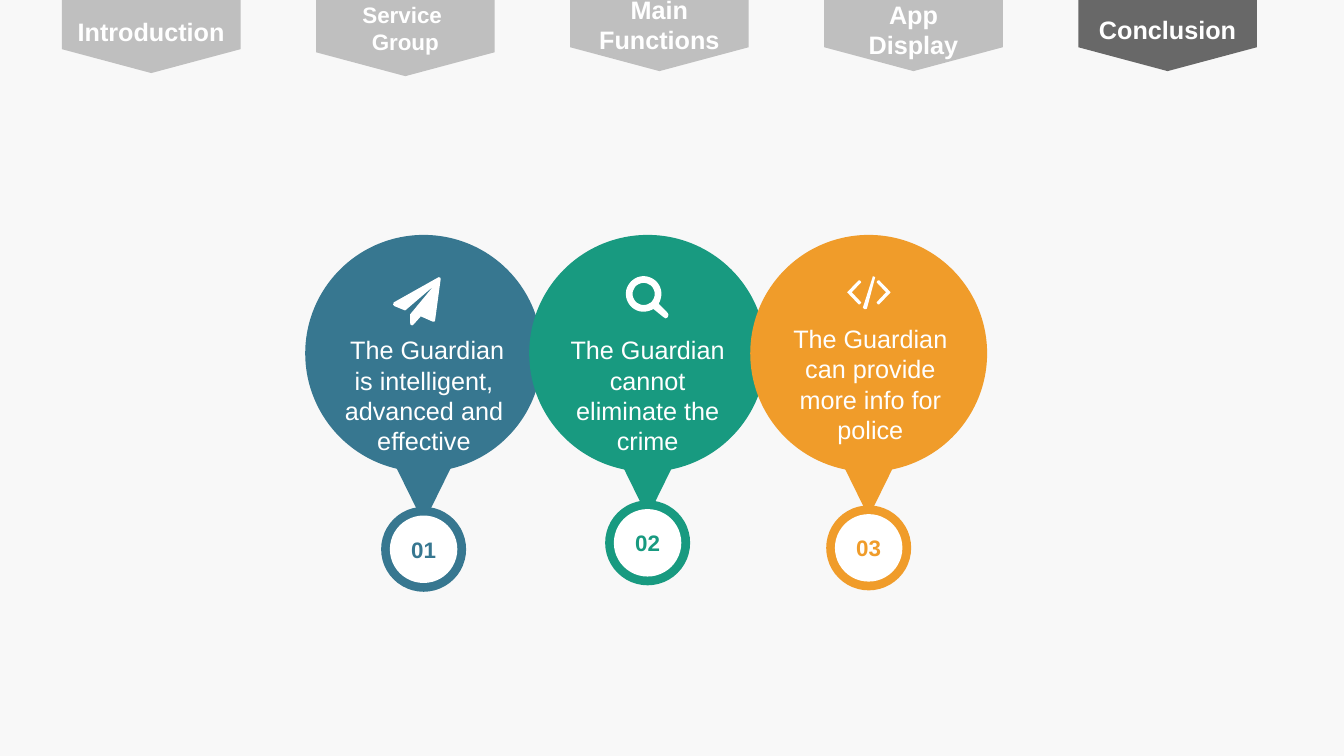
import math
from dataclasses import dataclass

import pptx
import pptx.dml.color
import pptx.enum.shapes
import pptx.enum.text
import pptx.util

Pt = pptx.util.Pt
Shape = pptx.enum.shapes.MSO_SHAPE


@dataclass(frozen=True)
class Theme:
    font: str = "Arial"
    background: str = "F8F8F8"
    white: str = "FFFFFF"
    tab: str = "BFBFBF"
    current_tab: str = "686868"
    blue: str = "377790"
    green: str = "189A80"
    orange: str = "F09C2A"
    body: int = 18
    small: int = 16


theme = Theme()


def paint(shape, color):
    """Give a flat fill without outline or shadow."""
    shape.shadow.inherit = False
    shape.fill.solid()
    shape.fill.fore_color.rgb = pptx.dml.color.RGBColor.from_string(color)
    shape.line.fill.background()


def write(shape, text, size, color, bold=False, wrap=True):
    """Set centred text without insets, one paragraph per line."""
    frame = shape.text_frame
    frame.text = text
    frame.word_wrap = wrap
    frame.margin_left = frame.margin_right = frame.margin_top = frame.margin_bottom = 0
    for paragraph in frame.paragraphs:
        paragraph.alignment = pptx.enum.text.PP_ALIGN.CENTER
        for run in paragraph.runs:
            run.font.name = theme.font
            run.font.size = Pt(size)
            run.font.bold = bold
            run.font.color.rgb = pptx.dml.color.RGBColor.from_string(color)


deck = pptx.Presentation()
deck.slide_width, deck.slide_height = Pt(960), Pt(540)
slide = deck.slides.add_slide(deck.slide_layouts[6])
slide.background.fill.solid()
slide.background.fill.fore_color.rgb = pptx.dml.color.RGBColor.from_string(theme.background)
shapes = slide.shapes

# Navigation tabs: label, size, fill, tab centre, label top, label height
TAB_DEPTH, TAB_WIDTH, LABEL_WIDTH = 62, 127.6, 106
FIRST_TAB, TAB_PITCH = 108, 181.5
tabs = [
    ("Introduction", theme.body, theme.tab, 21.2, 11.5, 21.6),
    ("Service \nGroup", theme.small, theme.tab, 23.4, 0.7, 38.9),
    ("Main\nFunctions", theme.body, theme.tab, 19.8, -4.3, 43.9),
    ("App\nDisplay", theme.body, theme.tab, 19.8, -0.7, 43.9),
    ("Conclusion", theme.body, theme.current_tab, 19.8, 10.1, 21.6),
]
for index, (label, size, color, middle, label_top, label_height) in enumerate(tabs):
    center = FIRST_TAB + index * TAB_PITCH
    tab = shapes.add_shape(Shape.RIGHT_ARROW, Pt(center - TAB_DEPTH / 2), Pt(middle - TAB_WIDTH / 2),
                           Pt(TAB_DEPTH), Pt(TAB_WIDTH))
    tab.rotation = 90
    tab.adjustments[0], tab.adjustments[1] = 1, 0.275
    paint(tab, color)
    caption = shapes.add_textbox(Pt(center - LABEL_WIDTH / 2), Pt(label_top),
                                 Pt(LABEL_WIDTH), Pt(label_height))
    write(caption, label, size, theme.white, bold=True, wrap=False)

# Icon contours, in tenths of a point from the icon's top left corner
plane = [[(340, 12), (300, 310), (295, 317), (284, 318), (198, 280), (146, 338), (136, 345),
          (124, 338), (122, 328), (122, 265), (288, 65), (86, 238), (10, 207), (0, 196),
          (5, 180), (325, 0), (336, 2)]]

LENS = 127
rim = [(LENS + LENS * math.cos(math.radians(angle)), LENS + LENS * math.sin(math.radians(angle)))
       for angle in range(57, 394, 8)]
handle = [(298, 262), (304, 275), (300, 292), (284, 302), (268, 292)]
glass = [(LENS + 79 * math.cos(math.radians(angle)), LENS + 79 * math.sin(math.radians(angle)))
         for angle in range(0, 360, 10)]
magnifier = [rim + handle, glass]

left_bracket = [(94, 202), (86, 202), (3, 115), (86, 29), (94, 29), (104, 43), (36, 115), (104, 187)]
slash = [(144, 232), (130, 236), (115, 226), (187, 0), (204, 6)]
right_bracket = [(317 - x, y) for x, y in left_bracket]
code = [left_bracket, slash, right_bracket]

# Pins: number, message, colour, centre, tail top, badge top, message box, icon, icon corner
BUBBLE, BUBBLE_TOP, TAIL_WIDTH, TAIL_HEIGHT = 169.2, 167.8, 43.2, 43.9
RING, DISC, MESSAGE_HEIGHT = 60.7, 48.2, 87.1
pins = [
    ("01", " The Guardian is intelligent, advanced and effective", theme.blue,
     302.6, 329.8, 362.0, (239.8, 239, 126), plane, (280.8, 198)),
    ("02", "The Guardian cannot eliminate the crime", theme.green,
     462.6, 325.4, 357.4, (403.2, 239, 118.8), magnifier, (447.1, 197.3)),
    ("03", "The Guardian can provide more info for police", theme.orange,
     620.5, 325.4, 361.0, (554.4, 231.1, 134.6), code, (604.8, 197.3)),
]
for number, message, color, center, tail_top, badge_top, message_box, icon, corner in pins:
    bubble = shapes.add_shape(Shape.OVAL, Pt(center - BUBBLE / 2), Pt(BUBBLE_TOP), Pt(BUBBLE), Pt(BUBBLE))
    paint(bubble, color)
    tail = shapes.add_shape(Shape.ISOSCELES_TRIANGLE, Pt(center - TAIL_WIDTH / 2), Pt(tail_top),
                            Pt(TAIL_WIDTH), Pt(TAIL_HEIGHT))
    tail.rotation = 180
    paint(tail, color)

    left, top, width = message_box
    statement = shapes.add_textbox(Pt(left), Pt(top), Pt(width), Pt(MESSAGE_HEIGHT))
    write(statement, message, theme.body, theme.white)

    outline = shapes.build_freeform(*icon[0][0], scale=Pt(0.1))
    outline.add_line_segments(icon[0][1:])
    for contour in icon[1:]:
        outline.move_to(*contour[0])
        outline.add_line_segments(contour[1:])
    paint(outline.convert_to_shape(Pt(corner[0]), Pt(corner[1])), theme.white)

    ring = shapes.add_shape(Shape.OVAL, Pt(center - RING / 2), Pt(badge_top), Pt(RING), Pt(RING))
    paint(ring, color)
    disc = shapes.add_shape(Shape.OVAL, Pt(center - DISC / 2), Pt(badge_top + (RING - DISC) / 2),
                            Pt(DISC), Pt(DISC))
    paint(disc, theme.white)
    write(disc, number, theme.small, color, bold=True)
    disc.text_frame.vertical_anchor = pptx.enum.text.MSO_ANCHOR.MIDDLE

deck.save("out.pptx")
